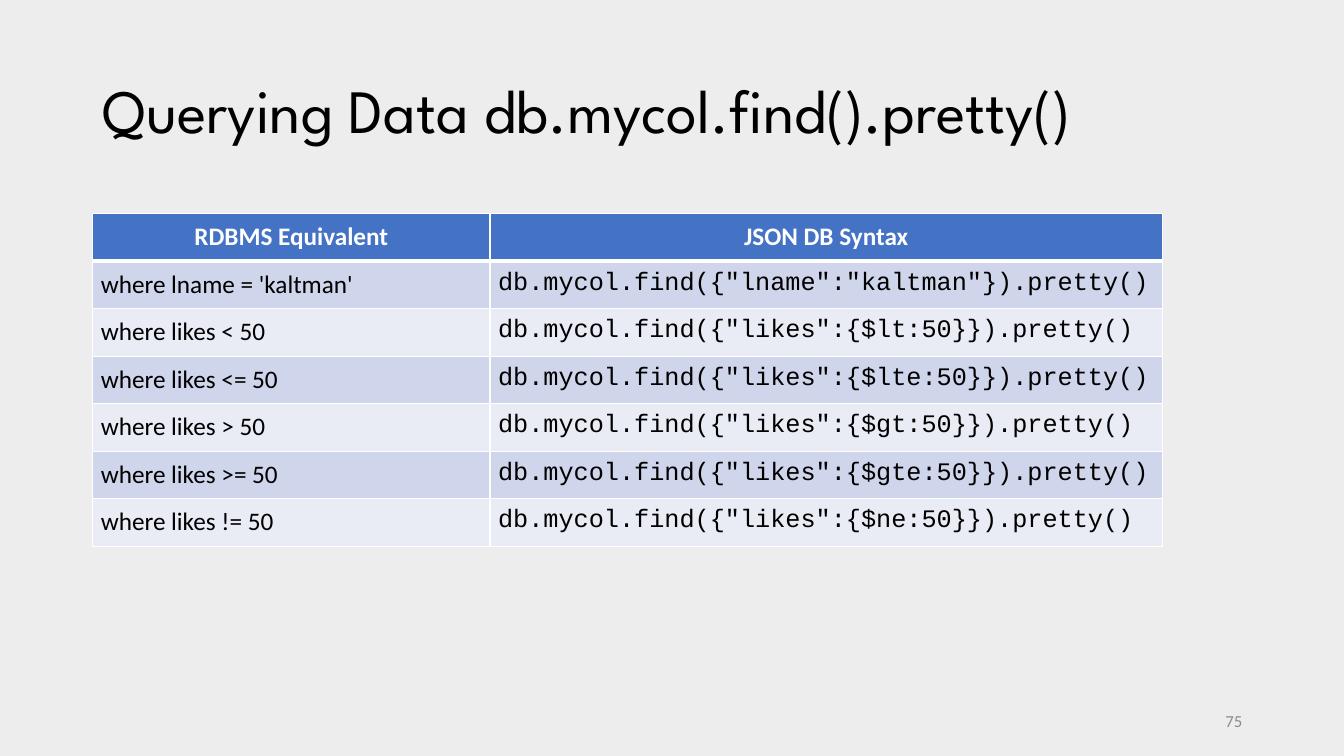
from lxml import etree
from pptx import Presentation
from pptx.dml.color import RGBColor
from pptx.enum.text import MSO_ANCHOR, MSO_AUTO_SIZE, PP_ALIGN
from pptx.oxml.ns import qn
from pptx.util import Inches, Pt

LEFT, CENTER, RIGHT = PP_ALIGN.LEFT, PP_ALIGN.CENTER, PP_ALIGN.RIGHT
MIDDLE = MSO_ANCHOR.MIDDLE
NO_AUTOFIT = MSO_AUTO_SIZE.NONE
TITLE_ONLY = 5

COLORS = {
    "background": "EDEDED",
    "text": "000000",
    "white": "FFFFFF",
    "header": "4472C4",
    "odd_row": "CFD5EA",
    "even_row": "E9EBF5",
    "page_number": "8C8C8C",
}
BODY_FONT, CODE_FONT, TITLE_FONT = "Calibri", "Courier New", "League Spartan"

HEADINGS = ("RDBMS Equivalent", "JSON DB Syntax")
QUERIES = [
    ("where lname = 'kaltman'", 'db.mycol.find({"lname":"kaltman"}).pretty()'),
    ("where likes < 50", 'db.mycol.find({"likes":{$lt:50}}).pretty()'),
    ("where likes <= 50", 'db.mycol.find({"likes":{$lte:50}}).pretty()'),
    ("where likes > 50", 'db.mycol.find({"likes":{$gt:50}}).pretty()'),
    ("where likes >= 50", 'db.mycol.find({"likes":{$gte:50}}).pretty()'),
    ("where likes != 50", 'db.mycol.find({"likes":{$ne:50}}).pretty()'),
]
COLUMN_WIDTHS = (3.94, 6.67)


def color(name):
    return RGBColor.from_string(COLORS[name])


def write(frame, text, size, font, color_name, align=LEFT, bold=False):
    para = frame.paragraphs[0]
    para.alignment = align
    span = para.add_run()
    span.text = text
    span.font.size = Pt(size)
    span.font.name = font
    span.font.bold = bold
    span.font.color.rgb = color(color_name)
    return para


def set_borders(cell, bottom_width):
    """Draw white lines around a cell; call before the cell is filled."""
    properties = cell._tc.get_or_add_tcPr()
    for side, width in (("L", 1), ("R", 1), ("T", 1), ("B", bottom_width)):
        line = etree.SubElement(properties, qn(f"a:ln{side}"), w=str(Pt(width)))
        fill = etree.SubElement(line, qn("a:solidFill"))
        etree.SubElement(fill, qn("a:srgbClr"), val=COLORS["white"])


def add_title(page, left, top, width, height):
    title = page.shapes.title
    title.left, title.top = Inches(left), Inches(top)
    title.width, title.height = Inches(width), Inches(height)
    frame = title.text_frame
    frame.auto_size = NO_AUTOFIT
    frame.vertical_anchor = MIDDLE
    para = write(frame, "Querying Data db.mycol.find().pretty()",
                 44, TITLE_FONT, "text")
    para.line_spacing = 0.9


def add_query_table(page, left, top, width, height):
    rows = [HEADINGS] + QUERIES
    table = page.shapes.add_table(
        len(rows), len(HEADINGS), Inches(left), Inches(top),
        Inches(width), Inches(height)).table
    for column, share in zip(table.columns, COLUMN_WIDTHS):
        column.width = Inches(width * share / sum(COLUMN_WIDTHS))

    for row_index, texts in enumerate(rows):
        is_header = row_index == 0
        if is_header:
            fill_name = "header"
        else:
            fill_name = "odd_row" if row_index % 2 else "even_row"
        for column_index, text in enumerate(texts):
            cell = table.cell(row_index, column_index)
            cell.margin_left = cell.margin_right = Inches(0.08)
            cell.margin_top = cell.margin_bottom = Inches(0.08)
            set_borders(cell, 3 if is_header else 1)
            cell.fill.solid()
            cell.fill.fore_color.rgb = color(fill_name)
            if is_header:
                write(cell.text_frame, text, 18, BODY_FONT, "white", CENTER, True)
            else:
                font = CODE_FONT if column_index else BODY_FONT
                write(cell.text_frame, text, 18, font, "text")


def add_page_number(page, left, top, width, height):
    box = page.shapes.add_textbox(
        Inches(left), Inches(top), Inches(width), Inches(height))
    frame = box.text_frame
    frame.word_wrap = True
    frame.vertical_anchor = MIDDLE
    write(frame, "75", 12, BODY_FONT, "page_number", RIGHT)


def main():
    deck = Presentation()
    deck.slide_width, deck.slide_height = Inches(13.33), Inches(7.5)
    page = deck.slides.add_slide(deck.slide_layouts[TITLE_ONLY])
    page.background.fill.solid()
    page.background.fill.fore_color.rgb = color("background")
    add_title(page, 0.92, 0.4, 11.5, 1.45)
    add_query_table(page, 0.92, 2.12, 10.61, 3.3)
    add_page_number(page, 9.42, 6.95, 3, 0.4)
    deck.save("out.pptx")


if __name__ == "__main__":
    main()
